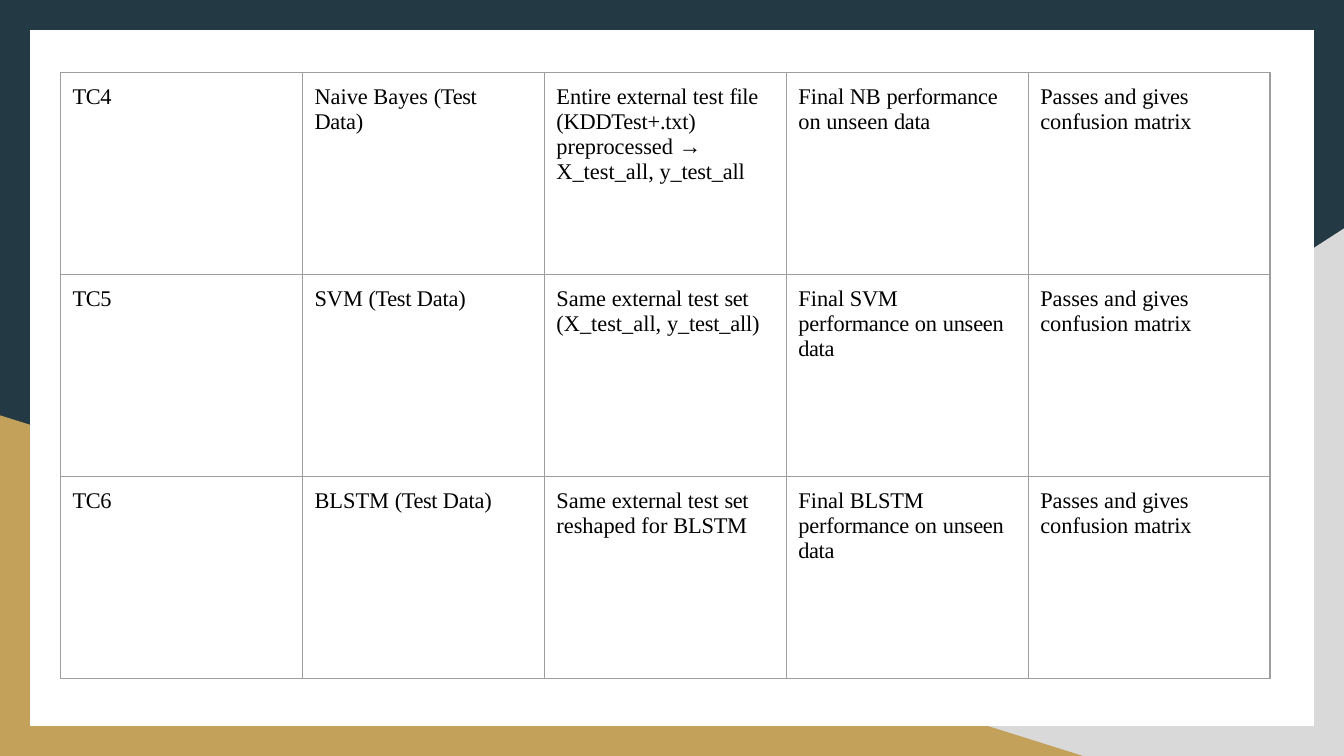
from pptx import Presentation
from pptx.dml.color import RGBColor as RGB
from pptx.oxml.ns import qn
from pptx.util import Inches, Pt
from lxml.etree import SubElement as Sub

# A 16:9 page
WIDE = 10
HIGH = WIDE * 9 / 16

# Background pieces: fill and corner points
SHAPES = [
    ("233944", [(0, 0), (WIDE, 0), (WIDE, HIGH), (0, HIGH)]),
    ("D9D9D9", [(WIDE, HIGH), (3.92, HIGH), (WIDE, 1.7)]),
    ("C4A15A", [(8.06, HIGH), (0, HIGH), (0, 3.09)]),
    ("FFFFFF", [(0.22, 0.22), (9.78, 0.22), (9.78, 5.4), (0.22, 5.4)]),
]

# Table text: runs with their letter spacing in points
DATA = [("(Test ", -0.2), ("Data)", -0.1)]
SAME = [("Same ", 0), ("external ", -0.1), ("test ", 0), ("set ", -0.2)]
UNSEEN = [("on ", 0), ("unseen ", -0.1), ("data", -0.2)]
PASS = [("Passes and ", 0), ("gives ", -0.1), ("confusion ", 0), ("matrix", -0.1)]
CASES = [
    [
        [("TC4", -0.2)],
        [("Naive Bayes ", 0)] + DATA,
        [("Entire ", 0), ("external ", -0.1), ("test ", 0), ("file ", -0.2),
         ("(KDDTest+.txt) ", -0.1), ("preprocessed ", 0), ("→ ", -0.5),
         ("X_test_all, ", 0), ("y_test_all", -0.1)],
        [("Final NB ", 0), ("performance ", -0.1), ("on unseen ", 0), ("data", -0.2)],
        PASS,
    ],
    [
        [("TC5", -0.2)],
        [("SVM ", 0)] + DATA,
        SAME + [("(X_test_all, ", 0), ("y_test_all)", -0.1)],
        [("Final ", 0), ("SVM ", -0.2), ("performance ", -0.1)] + UNSEEN,
        PASS,
    ],
    [
        [("TC6", -0.2)],
        [("BLSTM ", 0)] + DATA,
        SAME + [("reshaped for ", 0), ("BLSTM", -0.1)],
        [("Final ", 0), ("BLSTM performance ", -0.1)] + UNSEEN,
        PASS,
    ],
]


def paint(fill, color):
    fill.solid()
    fill.fore_color.rgb = RGB.from_string(color)


def add_poly(slide, color, points):
    pts = [(Inches(x), Inches(y)) for x, y in points]
    pen = slide.shapes.build_freeform(*pts[0])
    pen.add_line_segments(pts[1:], close=True)
    shape = pen.convert_to_shape()
    shape.shadow.inherit = False
    paint(shape.fill, color)
    shape.line.fill.background()


def add_run(para, text, size=12, font="Times New Roman", color="000000", gap=0):
    run = para.add_run()
    run.text = text
    run.font.size = Pt(size)
    run.font.name = font
    paint(run.font.fill, color)
    run._r.get_or_add_rPr().set("spc", str(round(gap * 100)))


def add_edges(cell, color="9E9E9E", width=0.75):
    props = cell._tc.get_or_add_tcPr()
    for i, side in enumerate(("lnL", "lnR", "lnT", "lnB")):
        line = Sub(props, qn(f"a:{side}"), w=str(Pt(width)))
        fill = Sub(line, qn("a:solidFill"))
        Sub(fill, qn("a:srgbClr"), val=color)
        # Borders come before the cell fill
        props.insert(i, line)


def fill_cell(cell, runs):
    paint(cell.fill, "FFFFFF")
    add_edges(cell)
    cell.margin_left = cell.margin_bottom = 0
    cell.margin_top = Inches(0.09)
    cell.margin_right = Inches(0.15)
    para = cell.text_frame.paragraphs[0]
    para.space_before = Pt(6.2)
    para.line_spacing = 1
    props = para._p.get_or_add_pPr()
    props.set("marL", str(Inches(0.09)))
    props.set("indent", "0")
    for text, gap in runs:
        add_run(para, text, gap=gap)


def add_grid(slide, cases, left=0.45, top=0.54, width=9, height=4.51):
    rows, cols = len(cases), len(cases[0])
    frame = slide.shapes.add_table(
        rows, cols, Inches(left), Inches(top), Inches(width), Inches(height))
    table = frame.table
    table.first_row = table.horz_banding = False
    for col in table.columns:
        col.width = Inches(width / cols)
    for row, case in zip(table.rows, cases):
        row.height = Inches(height / rows)
        for cell, runs in zip(row.cells, case):
            fill_cell(cell, runs)


def main():
    deck = Presentation()
    deck.slide_width, deck.slide_height = Inches(WIDE), Inches(HIGH)
    slide = deck.slides.add_slide(deck.slide_layouts[6])
    paint(slide.background.fill, "FFFFFF")
    # Coloured frame
    for color, points in SHAPES:
        add_poly(slide, color, points)
    # Test cases
    add_grid(slide, CASES)
    deck.save("out.pptx")


if __name__ == "__main__":
    main()
